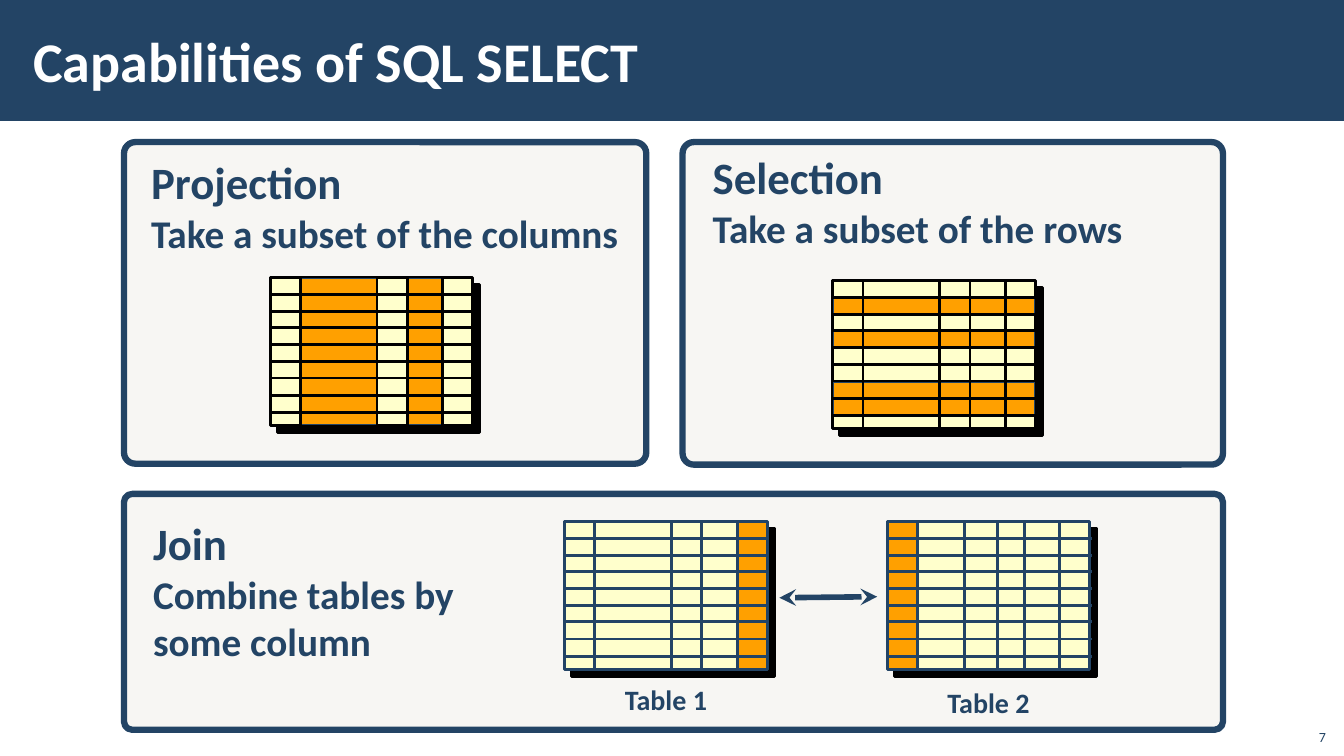
from dataclasses import dataclass
from itertools import pairwise

from lxml.etree import SubElement
from pptx import Presentation
from pptx.dml.color import RGBColor
from pptx.enum.shapes import MSO_CONNECTOR, MSO_SHAPE
from pptx.enum.text import MSO_ANCHOR, PP_ALIGN
from pptx.oxml.ns import qn
from pptx.util import Emu, Pt


@dataclass(frozen=True)
class Theme:
    font: str = "Calibri"
    navy: str = "234465"
    white: str = "FFFFFF"
    black: str = "000000"
    panel: str = "D9D5C7"
    cell: str = "FFFFCC"
    highlight: str = "FFA000"
    title: int = 40
    heading: int = 32
    body: int = 28
    caption: int = 20
    number: int = 10
    grid_line: float = 2
    band_line: float = 0.75
    panel_line: float = 4.5
    arrow_line: float = 4


THEME = Theme()
GRID_WIDTH, GRID_HEIGHT = 201, 147
ROW_LINES = [17 + round(index * 50 / 3) for index in range(8)]
WIDE_COLUMNS = [30, 106, 136, 171]
EVEN_COLUMNS = [30, 77, 109, 136, 171]


def px(length):
    """100 px make one inch."""
    return Emu(length * 9144)


def color(value):
    return RGBColor.from_string(value)


def add_box(slide, kind, left, top, width, height, fill, line=None, points=0):
    shape = slide.shapes.add_shape(kind, px(left), px(top), px(width), px(height))
    shape.shadow.inherit = False
    shape.fill.solid()
    shape.fill.fore_color.rgb = color(fill)
    if line:
        shape.line.color.rgb = color(line)
        shape.line.width = Pt(points)
    else:
        shape.line.fill.background()
    return shape


def add_line(slide, start, end, line, points):
    connector = slide.shapes.add_connector(
        MSO_CONNECTOR.STRAIGHT, *map(px, start), *map(px, end))
    connector.line.color.rgb = color(line)
    connector.line.width = Pt(points)
    SubElement(connector.element.spPr, qn("a:effectLst"))
    return connector


def add_double_arrow(slide, start, end):
    arrow = add_line(slide, start, end, THEME.navy, THEME.arrow_line)
    outline = arrow.line._get_or_add_ln()
    for tag in ("a:headEnd", "a:tailEnd"):
        SubElement(outline, qn(tag), type="stealth")


def add_text(slide, left, top, width, height, lines, fill=THEME.navy, bold=True,
             align=PP_ALIGN.LEFT, anchor=MSO_ANCHOR.TOP, wrap=True):
    """Each line is a pair of text and type size."""
    frame = slide.shapes.add_textbox(
        px(left), px(top), px(width), px(height)).text_frame
    frame.word_wrap = wrap
    frame.vertical_anchor = anchor
    for index, (text, size) in enumerate(lines):
        paragraph = frame.add_paragraph() if index else frame.paragraphs[0]
        paragraph.text = text
        paragraph.alignment = align
        paragraph.font.name = THEME.font
        paragraph.font.size = Pt(size)
        paragraph.font.bold = bold
        paragraph.font.color.rgb = color(fill)
    return frame


def add_panel(slide, left, top, width, height):
    panel = add_box(slide, MSO_SHAPE.ROUNDED_RECTANGLE, left, top, width, height,
                    THEME.panel, THEME.navy, THEME.panel_line)
    panel.adjustments[0] = 0.035
    fill = panel.element.spPr.find(qn("a:solidFill"))
    SubElement(fill[0], qn("a:alpha"), val="20000")


def add_hard_shadow(shape):
    effects = shape.element.spPr.find(qn("a:effectLst"))
    shadow = SubElement(effects, qn("a:outerShdw"), dist=str(Pt(7.1)),
                        dir="2700000", algn="ctr", rotWithShape="0")
    SubElement(shadow, qn("a:srgbClr"), val=THEME.black)


def add_grid(slide, left, top, line, columns, marked_columns=(), marked_rows=()):
    """Draw a small table; marks are indexes of columns or rows."""
    base = add_box(slide, MSO_SHAPE.RECTANGLE, left, top, GRID_WIDTH, GRID_HEIGHT,
                   THEME.cell, line, THEME.grid_line)
    add_hard_shadow(base)

    # Highlighted bands
    column_spans = list(pairwise([0, *columns, GRID_WIDTH]))
    row_spans = list(pairwise([0, *ROW_LINES, GRID_HEIGHT]))
    bands = [(start + 1, 1, end - start - 2, GRID_HEIGHT - 2)
             for start, end in (column_spans[mark] for mark in marked_columns)]
    bands += [(1, start + 1, GRID_WIDTH - 2, end - start - 1)
              for start, end in (row_spans[mark] for mark in marked_rows)]
    for x, y, width, height in bands:
        add_box(slide, MSO_SHAPE.RECTANGLE, left + x, top + y, width, height,
                THEME.highlight, THEME.navy, THEME.band_line)

    # Rules, slightly longer than the grid
    for x in columns:
        add_line(slide, (left + x, top - 1), (left + x, top + GRID_HEIGHT + 2),
                 line, THEME.grid_line)
    for y in ROW_LINES:
        add_line(slide, (left - 1, top + y), (left + GRID_WIDTH + 2, top + y),
                 line, THEME.grid_line)


def main():
    presentation = Presentation()
    presentation.slide_width, presentation.slide_height = px(1333), px(750)
    slide = presentation.slides.add_slide(presentation.slide_layouts[6])

    # Title bar
    add_box(slide, MSO_SHAPE.RECTANGLE, 0, 0, 1333, 120, THEME.navy)
    title = add_text(slide, 21, 11, 1063, 97,
                     [("Capabilities of SQL SELECT", THEME.title)],
                     fill=THEME.white, anchor=MSO_ANCHOR.MIDDLE)
    title.margin_left = title.margin_right = px(12)

    # Selection
    add_panel(slide, 677, 141, 536, 320)
    add_grid(slide, 826, 278, THEME.black, WIDE_COLUMNS, marked_rows=(1, 3, 6, 7))
    add_text(slide, 697, 144, 431, 111,
             [("Selection", THEME.heading),
              ("Take a subset of the rows", THEME.body)], wrap=False)

    # Projection
    add_panel(slide, 123, 141, 518, 319)
    add_grid(slide, 268, 275, THEME.black, WIDE_COLUMNS, marked_columns=(1, 3))
    add_text(slide, 140, 149, 489, 111,
             [("Projection", THEME.heading),
              ("Take a subset of the columns", THEME.body)], wrap=False)

    # Join
    add_panel(slide, 123, 490, 1090, 234)
    add_grid(slide, 560, 517, THEME.navy, WIDE_COLUMNS, marked_columns=(4,))
    add_grid(slide, 880, 517, THEME.navy, EVEN_COLUMNS, marked_columns=(0,))
    add_double_arrow(slide, (773, 593), (870, 592))
    for caption, left, top in (("Table 1", 561, 672), ("Table 2", 881, 675)):
        add_text(slide, left, top, 199, 44, [(caption, THEME.caption)],
                 align=PP_ALIGN.CENTER)
    add_text(slide, 142, 507, 330, 158,
             [("Join", THEME.heading), ("Combine tables by", THEME.body),
              ("some column", THEME.body)])

    # Slide number
    add_text(slide, 1285, 712, 40, 32, [("7", THEME.number)], bold=False,
             align=PP_ALIGN.RIGHT, anchor=MSO_ANCHOR.BOTTOM)

    presentation.save("out.pptx")


if __name__ == "__main__":
    main()
